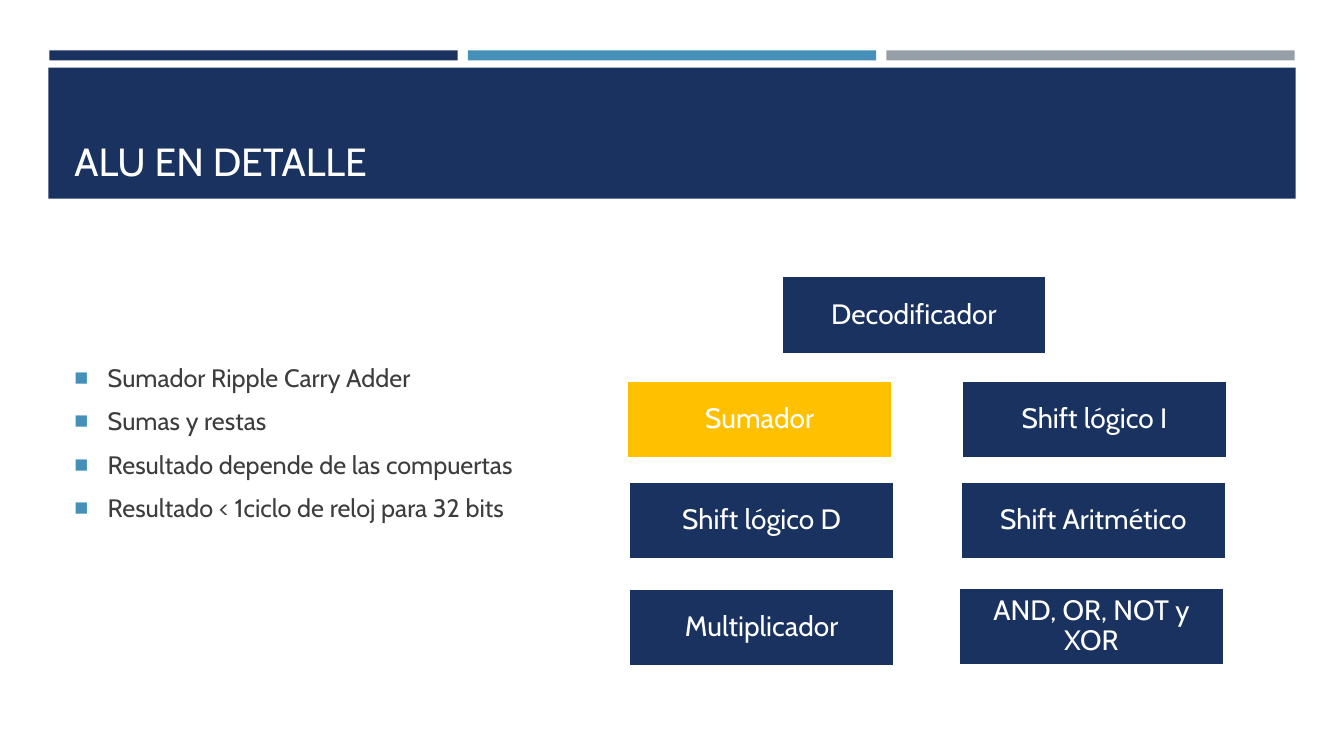
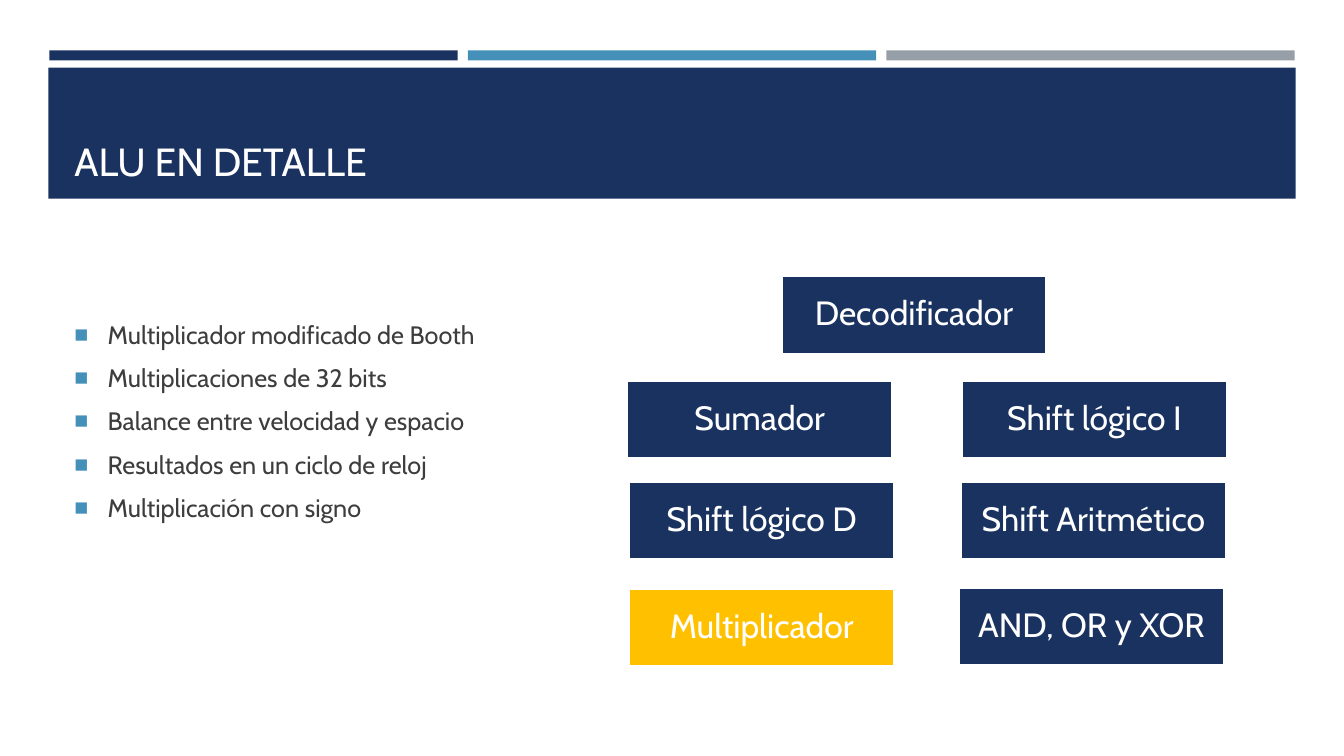
from dataclasses import dataclass

from lxml import etree
from pptx import Presentation
from pptx.dml.color import RGBColor
from pptx.enum.shapes import MSO_SHAPE
from pptx.enum.text import MSO_ANCHOR, PP_ALIGN
from pptx.oxml.ns import qn
from pptx.util import Pt

EMU_PER_PX = 9144  # 100 px to the inch
SLIDE_W, SLIDE_H = 1333, 750
BLANK_LAYOUT = 6

NAVY = RGBColor(0x1A, 0x32, 0x60)
BLUE = RGBColor(0x45, 0x90, 0xB8)
GRAY = RGBColor(0x96, 0x9F, 0xA7)
GOLD = RGBColor(0xFF, 0xC0, 0x00)
WHITE = RGBColor(0xFF, 0xFF, 0xFF)
DARK = RGBColor(0x3D, 0x3D, 0x3D)

FONT = "Cabin"
RECT = MSO_SHAPE.RECTANGLE
LEFT, CENTER = PP_ALIGN.LEFT, PP_ALIGN.CENTER
MIDDLE, BOTTOM = MSO_ANCHOR.MIDDLE, MSO_ANCHOR.BOTTOM

STRIPE_X, STRIPE_Y, STRIPE_W, STRIPE_H, STRIPE_STEP = 49, 50, 405, 10, 415
STRIPE_COLORS = (NAVY, BLUE, GRAY)
BLOCK_W, BLOCK_H = 263, 77
BULLET_INDENT = 33


@dataclass(frozen=True)
class Box:
    x: int
    y: int
    w: int
    h: int


@dataclass(frozen=True)
class AluSlide:
    title: str
    bullets: tuple[str, ...]
    body: Box
    highlight: str
    logic_label: str
    block_size: int
    block_inset: int


BAND = Box(48, 67, 1237, 130)
TITLE = Box(64, 77, 1206, 111)

LOGIC = "logic"
BLOCKS = {
    "Decodificador": (775, 274),
    "Sumador": (622, 378),
    "Shift lógico I": (954, 378),
    "Shift lógico D": (624, 478),
    "Shift Aritmético": (953, 478),
    "Multiplicador": (624, 584),
    LOGIC: (951, 583),
}

SLIDES = (
    AluSlide(
        title="ALU EN DETALLE",
        bullets=(
            "Sumador Ripple Carry Adder",
            "Sumas y restas",
            "Resultado depende de las compuertas",
            "Resultado < 1ciclo de reloj para 32 bits",
        ),
        body=Box(64, 238, 466, 402),
        highlight="Sumador",
        logic_label="AND, OR, NOT y XOR",
        block_size=20,
        block_inset=8,
    ),
    AluSlide(
        title="ALU EN DETALLE",
        bullets=(
            "Multiplicador modificado de Booth",
            "Multiplicaciones de 32 bits",
            "Balance entre velocidad y espacio",
            "Resultados en un ciclo de reloj",
            "Multiplicación con signo",
        ),
        body=Box(64, 238, 534, 359),
        highlight="Multiplicador",
        logic_label="AND, OR y XOR",
        block_size=24,
        block_inset=10,
    ),
)


def px(n: int) -> int:
    return n * EMU_PER_PX


def place(box: Box) -> tuple[int, ...]:
    return tuple(px(n) for n in (box.x, box.y, box.w, box.h))


def add_rect(s, box: Box, fill: RGBColor, line: RGBColor | None = None):
    sp = s.shapes.add_shape(RECT, *place(box))
    sp.shadow.inherit = False
    sp.fill.solid()
    sp.fill.fore_color.rgb = fill
    if line is None:
        sp.line.fill.background()
    else:
        sp.line.color.rgb = line
        sp.line.width = Pt(1.75)
    return sp


def add_bullet(p) -> None:
    """Give a paragraph a hanging indent and a square blue bullet."""
    pPr = p._p.get_or_add_pPr()
    pPr.set("marL", str(px(BULLET_INDENT)))
    pPr.set("indent", str(-px(BULLET_INDENT)))
    color = etree.SubElement(pPr, qn("a:buClr"))
    etree.SubElement(color, qn("a:srgbClr"), val=str(BLUE))
    etree.SubElement(pPr, qn("a:buSzPct"), val="92000")
    etree.SubElement(pPr, qn("a:buFont"), typeface="Arial")
    etree.SubElement(pPr, qn("a:buChar"), char="■")


def set_text(sp, *lines: str, size: int, color: RGBColor = WHITE, align=LEFT,
             anchor=MIDDLE, inset_x: int = 10, inset_y: int = 5,
             spacing: float = 1.0, before: float = 0, after: float = 0,
             bullets: bool = False) -> None:
    """Write one paragraph per line into a shape."""
    tf = sp.text_frame
    tf.word_wrap = True
    tf.vertical_anchor = anchor
    tf.margin_left = tf.margin_right = px(inset_x)
    tf.margin_top = tf.margin_bottom = px(inset_y)
    for i, line in enumerate(lines):
        p = tf.add_paragraph() if i else tf.paragraphs[0]
        p.alignment = align
        p.line_spacing = spacing
        p.space_before, p.space_after = Pt(before), Pt(after)
        if bullets:
            add_bullet(p)
        r = p.add_run()
        r.text = line
        r.font.name = FONT
        r.font.size = Pt(size)
        r.font.color.rgb = color


def add_header(s, title: str) -> None:
    for i, color in enumerate(STRIPE_COLORS):
        x = STRIPE_X + i * STRIPE_STEP
        add_rect(s, Box(x, STRIPE_Y, STRIPE_W, STRIPE_H), color)
    add_rect(s, BAND, NAVY)
    set_text(s.shapes.add_textbox(*place(TITLE)), title, size=28, anchor=BOTTOM)


def add_blocks(s, data: AluSlide) -> None:
    """Draw the ALU units, with the one under discussion in gold."""
    for name, (x, y) in BLOCKS.items():
        fill = GOLD if name == data.highlight else NAVY
        sp = add_rect(s, Box(x, y, BLOCK_W, BLOCK_H), fill, line=WHITE)
        label = data.logic_label if name == LOGIC else name
        set_text(sp, label, size=data.block_size, align=CENTER, spacing=0.9,
                 inset_x=data.block_inset, inset_y=data.block_inset)


def add_slide(prs, data: AluSlide) -> None:
    s = prs.slides.add_slide(prs.slide_layouts[BLANK_LAYOUT])
    add_header(s, data.title)
    set_text(s.shapes.add_textbox(*place(data.body)), *data.bullets, size=18,
             color=DARK, before=3.4, after=6, bullets=True)
    add_blocks(s, data)


def main() -> None:
    prs = Presentation()
    prs.slide_width, prs.slide_height = px(SLIDE_W), px(SLIDE_H)
    for data in SLIDES:
        add_slide(prs, data)
    prs.save("out.pptx")


if __name__ == "__main__":
    main()
